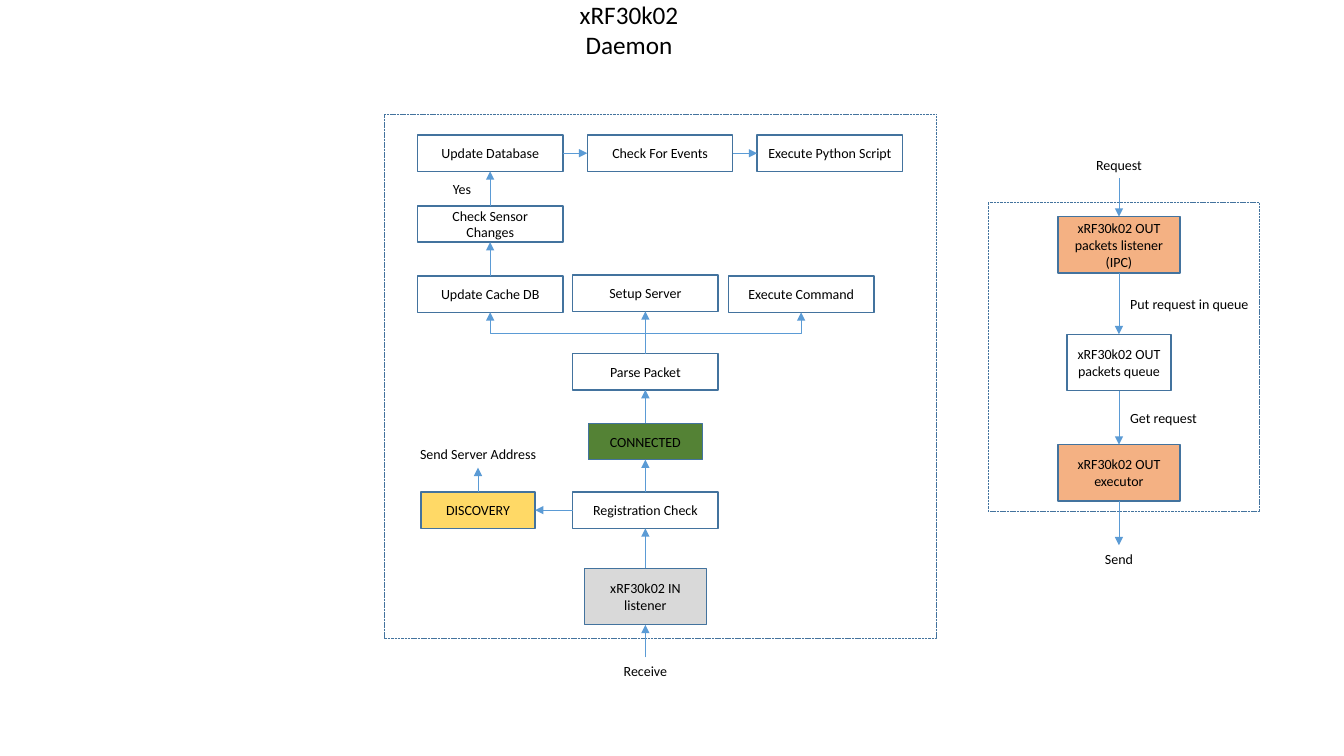
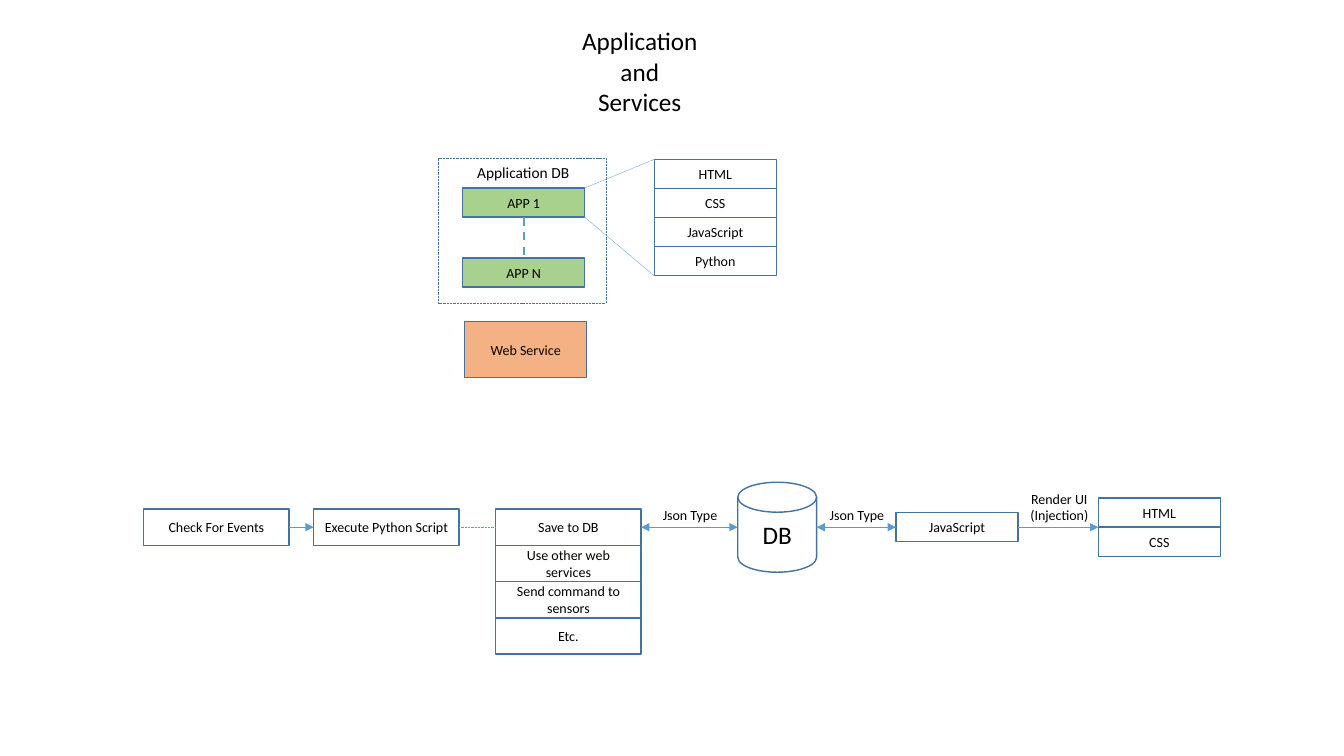
from dataclasses import dataclass
from itertools import pairwise

from lxml.etree import SubElement
from pptx import Presentation
from pptx.dml.color import RGBColor
from pptx.enum.dml import MSO_LINE
from pptx.enum.shapes import MSO_CONNECTOR, MSO_SHAPE
from pptx.enum.text import MSO_ANCHOR, PP_ALIGN
from pptx.oxml.ns import qn
from pptx.util import Inches, Pt

SLIDE_W, SLIDE_H = Inches(13.33), Inches(7.5)
TOP, LEFT, BOTTOM, RIGHT = range(4)


@dataclass(frozen=True)
class Theme:
    """Colours, type sizes, line widths and box sizes (percent of the slide)."""
    font: str = "Calibri"
    ink: str = "000000"
    outline: str = "43739E"
    arrow: str = "5B9BD5"
    orange: str = "F4B183"
    grey: str = "D9D9D9"
    yellow: str = "FFD966"
    dark_green: str = "548235"
    light_green: str = "A9D18E"
    title: int = 18
    heading: int = 11
    body: int = 10
    hairline: float = 0.25
    thin: float = 0.5
    border: float = 1
    heavy: float = 1.5
    step: tuple = (10.82, 4.8)
    block: tuple = (9.08, 7.45)
    queue: tuple = (7.75, 7.45)
    state: tuple = (8.5, 4.8)
    tag: tuple = (9.08, 3.85)
    store: tuple = (5.87, 11.9)
    label: tuple = (10.4, 3.6)


THEME = Theme()


def apply(target, values):
    """Set every attribute named in values on the target."""
    for name, value in values.items():
        setattr(target, name, value)


def style_line(line, color, width, dash=None):
    """Give an outline or connector its colour, width and dash."""
    line.color.rgb = RGBColor.from_string(color)
    apply(line, {"width": Pt(width), "dash_style": dash})


def write(shape, text, size, wrap=True):
    """Put centred text in a shape."""
    frame = shape.text_frame
    frame.text = text
    apply(frame, {"word_wrap": wrap, "vertical_anchor": MSO_ANCHOR.MIDDLE})
    for paragraph in frame.paragraphs:
        paragraph.alignment = PP_ALIGN.CENTER
        apply(paragraph.font, {"name": THEME.font, "size": Pt(size)})
        paragraph.font.color.rgb = RGBColor.from_string(THEME.ink)


def site(shape, side):
    """Return the middle point of one side of a shape."""
    middle_x, middle_y = shape.left + shape.width // 2, shape.top + shape.height // 2
    return {TOP: (middle_x, shape.top), LEFT: (shape.left, middle_y),
            BOTTOM: (middle_x, shape.top + shape.height),
            RIGHT: (shape.left + shape.width, middle_y)}[side]


class Region:
    """A box on the slide whose parts are placed in percent of its size."""

    def __init__(self, slide, left=0, top=0, width=100, height=100):
        self.shapes = slide.shapes
        self.left, self.width = SLIDE_W * left / 100, SLIDE_W * width / 100
        self.top, self.height = SLIDE_H * top / 100, SLIDE_H * height / 100

    def bounds(self, x, y, size):
        """Return the bounds of a part centred at x, y."""
        width, height = SLIDE_W * size[0] / 100, SLIDE_H * size[1] / 100
        return [int(v) for v in (self.left + self.width * x / 100 - width / 2,
                                 self.top + self.height * y / 100 - height / 2,
                                 width, height)]

    def outlined(self, bounds, fill=None, kind=MSO_SHAPE.RECTANGLE,
                 width=THEME.border, dash=None):
        """Draw an outlined shape, filled or clear."""
        shape = self.shapes.add_shape(kind, *bounds)
        shape.shadow.inherit = False
        if fill:
            shape.fill.solid()
            shape.fill.fore_color.rgb = RGBColor.from_string(fill)
        else:
            shape.fill.background()
        style_line(shape.line, THEME.outline, width, dash)
        return shape

    def frame(self):
        """Draw the dotted border of the region."""
        bounds = [int(v) for v in (self.left, self.top, self.width, self.height)]
        self.outlined(bounds, width=THEME.hairline, dash=MSO_LINE.SQUARE_DOT)

    def node(self, text, x, y, size=THEME.step, fill=None,
             kind=MSO_SHAPE.RECTANGLE, text_size=THEME.body):
        """Draw a box with text centred at x, y."""
        shape = self.outlined(self.bounds(x, y, size), fill, kind)
        write(shape, text, text_size)
        return shape

    def stack(self, texts, x, y, size):
        """Draw touching boxes downwards, the first centred at x, y."""
        pitch = SLIDE_H * size[1] / self.height
        return [self.node(text, x, y + i * pitch, size) for i, text in enumerate(texts)]

    def label(self, text, x, y, size=THEME.body):
        """Write free text centred at x, y."""
        box = self.shapes.add_textbox(*self.bounds(x, y, THEME.label))
        write(box, text, size, wrap=False)
        return box

    def line(self, start, end, width=THEME.thin, dash=None, heads=("tailEnd",),
             kind=MSO_CONNECTOR.STRAIGHT):
        """Draw a connector between two points."""
        connector = self.shapes.add_connector(kind, *start, *end)
        style_line(connector.line, THEME.arrow, width, dash)
        for head in heads:
            SubElement(connector.line._get_or_add_ln(), qn(f"a:{head}"), type="triangle")
        SubElement(connector._element.spPr, qn("a:effectLst"))
        return connector

    def link(self, source, source_side, target, target_side, **style):
        """Connect two boxes side to side."""
        connector = self.line(site(source, source_side), site(target, target_side), **style)
        connector.begin_connect(source, source_side)
        connector.end_connect(target, target_side)
        return connector

    def climb(self, *parts):
        """Link parts upwards, each to the next."""
        for lower, upper in pairwise(parts):
            self.link(lower, TOP, upper, BOTTOM)

    def branch(self, source, target):
        """Link upwards with an elbow that turns halfway."""
        connector = self.link(source, TOP, target, BOTTOM, kind=MSO_CONNECTOR.ELBOW)
        (x1, y1), (x2, y2) = site(source, TOP), site(target, BOTTOM)
        run, rise = abs(x2 - x1), abs(y2 - y1)
        apply(connector, {"left": (x1 + x2 - rise) // 2, "top": (y1 + y2 - run) // 2,
                          "width": rise, "height": run})
        xfrm = connector._element.spPr.find(qn("a:xfrm"))
        turn = {"rot": 270 * 60000, "flipH": 0, "flipV": int(x2 < x1)}
        for name, value in turn.items():
            xfrm.set(name, str(value))


def incoming(region):
    """Draw the flow of received packets."""
    region.frame()
    left, main, right = 19.2, 47.3, 75.5
    receive = region.label("Receive", main, 106.3)
    listener = region.node("xRF30k02 IN listener", main, 92.1, THEME.block, THEME.grey)
    registration = region.node("Registration Check", main, 75.6)
    connected = region.node("CONNECTED", main, 62.5, THEME.state, THEME.dark_green)
    parse = region.node("Parse Packet", main, 49.2)
    setup = region.node("Setup Server", main, 34.2)
    region.climb(receive, listener, registration, connected, parse, setup)

    discovery = region.node("DISCOVERY", 17, 75.6, THEME.state, THEME.yellow)
    region.link(registration, LEFT, discovery, RIGHT)
    region.climb(discovery, region.label("Send Server Address", 17, 64.9))

    cache = region.node("Update Cache DB", left, 34.4)
    command = region.node("Execute Command", right, 34.4)
    for target in (cache, command):
        region.branch(parse, target)

    changes = region.node("Check Sensor Changes", left, 21)
    row = [region.node(text, left + i * 30.75, 7.5) for i, text in
           enumerate(("Update Database", "Check For Events", "Execute Python Script"))]
    region.climb(cache, changes, row[0])
    region.label("Yes", 14.1, 14.3)
    for before, after in pairwise(row):
        region.link(before, RIGHT, after, LEFT)


def outgoing(region):
    """Draw the flow of sent packets."""
    region.frame()
    main = 48.3
    send = region.label("Send", main, 115.5)
    executor = region.node("xRF30k02 OUT executor", main, 87.6, THEME.block, THEME.orange)
    queue = region.node("xRF30k02 OUT packets queue", main, 51.8, THEME.queue)
    listener = region.node("xRF30k02 OUT packets listener (IPC)", main, 13.7,
                           THEME.block, THEME.orange)
    request = region.label("Request", main, -12.3)
    for upper, lower in pairwise((request, listener, queue, executor, send)):
        region.link(upper, BOTTOM, lower, TOP)
    region.label("Put request in queue", 74.2, 32.8)
    region.label("Get request", 64.7, 69.8)


def applications(region):
    """Draw the application store, its web service and what one app holds."""
    region.frame()
    region.label("Application DB", 50.6, 10, THEME.heading)
    first, last = [region.node(text, 50.9, y, THEME.tag, THEME.light_green)
                   for text, y in (("APP 1", 30.6), ("APP N", 78.8))]
    region.link(first, BOTTOM, last, TOP, width=THEME.heavy, dash=MSO_LINE.DASH, heads=())
    region.node("Web Service", 52.1, 131.9, THEME.block, THEME.orange)
    parts = region.stack(("HTML", "CSS", "JavaScript", "Python"), 165.4, 10.8, THEME.tag)
    edge = first.left + first.width
    dotted = {"width": THEME.hairline, "dash": MSO_LINE.SQUARE_DOT, "heads": ()}
    region.line((edge, first.top), (parts[0].left, parts[0].top), **dotted)
    region.line((edge, first.top + first.height),
                (parts[-1].left, parts[-1].top + parts[-1].height), **dotted)


def event_flow(region):
    """Draw the path from an event to the rendered page."""
    axis = 25.9
    events = region.node("Check For Events", 6.7, axis)
    script = region.node("Execute Python Script", 22.5, axis)
    actions = region.stack(("Save to DB", "Use other web services",
                            "Send command to sensors", "Etc."), 39.4, axis, THEME.step)
    store = region.node("DB", 58.8, axis, THEME.store,
                        kind=MSO_SHAPE.FLOWCHART_MAGNETIC_DISK, text_size=THEME.title)
    javascript = region.node("JavaScript", 75.5, axis, THEME.tag)
    html = region.stack(("HTML", "CSS"), 94.3, 17.4, THEME.tag)[0]

    region.link(events, RIGHT, script, LEFT)
    region.link(script, RIGHT, actions[0], LEFT, width=THEME.hairline,
                dash=MSO_LINE.SQUARE_DOT, heads=())
    for before, after in pairwise((actions[0], store, javascript)):
        region.line(site(before, RIGHT), site(after, LEFT), heads=("headEnd", "tailEnd"))
    region.line(site(javascript, RIGHT), (html.left, html.top + html.height))
    for text, x, y in (("Json Type", 50.7, 18.5), ("Json Type", 66.2, 18.5),
                       ("Render UI\n(Injection)", 85, 14.1)):
        region.label(text, x, y)


SLIDES = (
    ("xRF30k02 Daemon", 46.8, 3.9, ((incoming, (28.58, 15.07, 41.1, 69.33)),
                                    (outgoing, (73.5, 26.8, 20.2, 40.8)))),
    ("Application and Services", 47.6, 9.4, ((applications, (32.63, 20.93, 12.45, 19.2)),
                                             (event_flow, (10.73, 63.87, 80.1, 22.67)))),
)


def main():
    """Build and save the slides."""
    deck = Presentation()
    apply(deck, {"slide_width": SLIDE_W, "slide_height": SLIDE_H})
    for title, x, y, regions in SLIDES:
        slide = deck.slides.add_slide(deck.slide_layouts[6])
        Region(slide).label(title, x, y, THEME.title)
        for draw, box in regions:
            draw(Region(slide, *box))
    deck.save("out.pptx")


if __name__ == "__main__":
    main()
